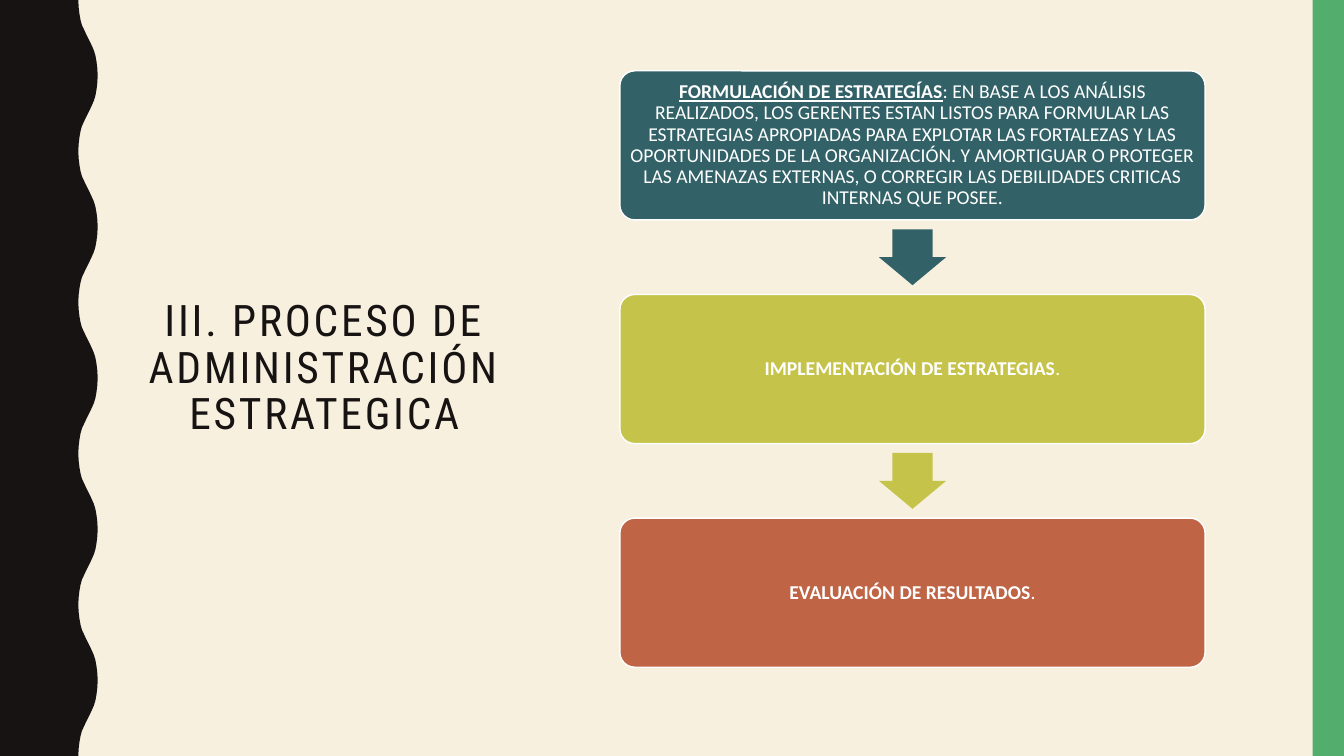
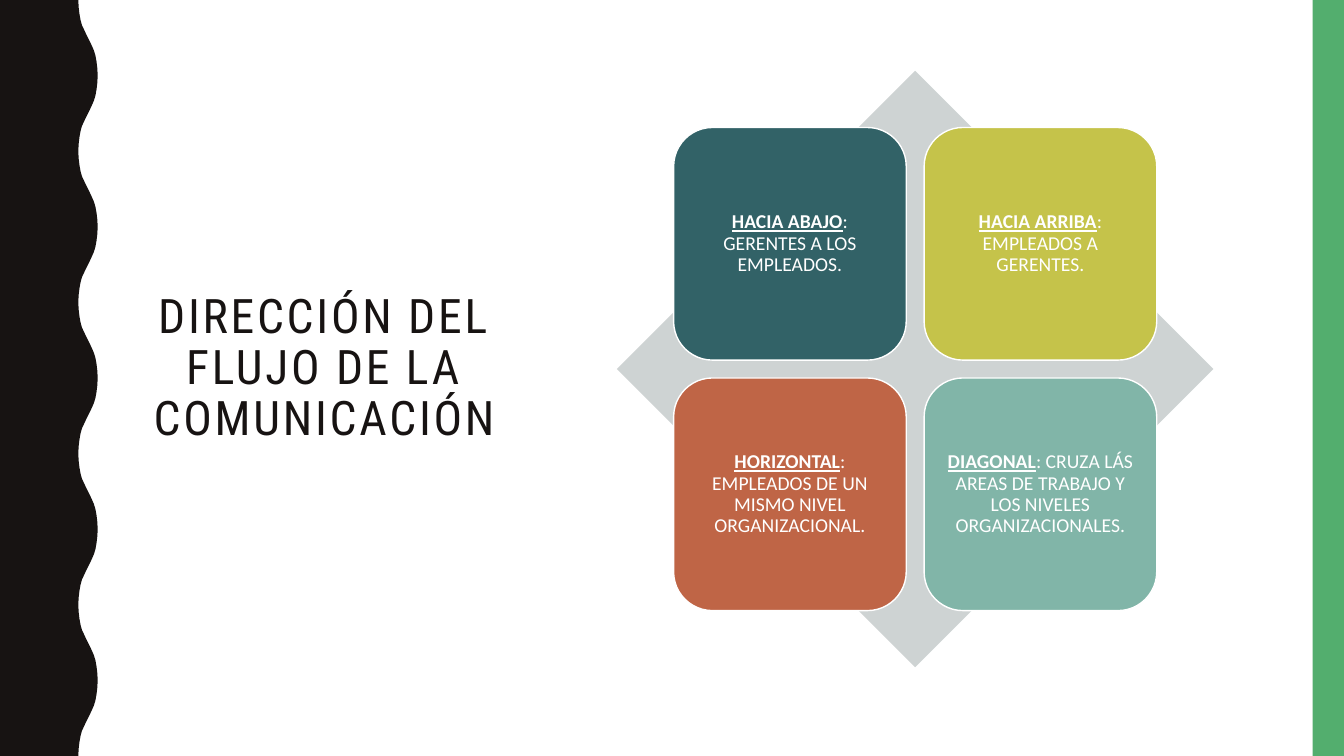
from pptx import Presentation
from pptx.dml.color import RGBColor
from pptx.enum.shapes import MSO_SHAPE
from pptx.enum.text import MSO_ANCHOR, PP_ALIGN
from pptx.util import Pt

RECT, ROUNDED = MSO_SHAPE.RECTANGLE, MSO_SHAPE.ROUNDED_RECTANGLE
DIAMOND, DOWN_ARROW = MSO_SHAPE.DIAMOND, MSO_SHAPE.DOWN_ARROW
MIDDLE, CENTER = MSO_ANCHOR.MIDDLE, PP_ALIGN.CENTER

WIDTH, HEIGHT = 960, 540
INK, GREEN, CREAM, WHITE = "171312", "53AE6E", "F7F0DF", "FFFFFF"
TEAL, OLIVE, RUST, SAGE, GREY = "326267", "C5C34A", "BF6546", "81B5A8", "CED3D3"
TITLE_FONT, BODY_FONT = "Roboto Condensed", "Calibri"

WAVE_PERIOD = 108
HALF_WAVE = [(56, 0), (56.2, 5), (56.8, 10), (57.6, 14.4), (58.6, 18), (60, 21),
             (61.4, 24), (62.9, 27), (64.4, 30), (65.8, 33), (67.1, 36),
             (68.2, 39.6), (69, 44), (69.6, 49), (69.8, 54)]

STEPS = [
    (TEAL, "FORMULACIÓN DE ESTRATEGÍAS",
     ": EN BASE A LOS ANÁLISIS REALIZADOS, LOS GERENTES ESTAN LISTOS PARA FORMULAR "
     "LAS ESTRATEGIAS APROPIADAS PARA EXPLOTAR LAS FORTALEZAS Y LAS OPORTUNIDADES DE "
     "LA ORGANIZACIÓN. Y AMORTIGUAR O PROTEGER LAS AMENAZAS EXTERNAS, O CORREGIR LAS "
     "DEBILIDADES CRITICAS INTERNAS QUE POSEE.", True),
    (OLIVE, "IMPLEMENTACIÓN DE ESTRATEGIAS", ".", False),
    (RUST, "EVALUACIÓN DE RESULTADOS", ".", False),
]
DIRECTIONS = [
    (TEAL, "HACIA ABAJO", ": GERENTES A LOS EMPLEADOS."),
    (OLIVE, "HACIA ARRIBA", ": EMPLEADOS A GERENTES."),
    (RUST, "HORIZONTAL", ": EMPLEADOS DE UN MISMO NIVEL ORGANIZACIONAL."),
    (SAGE, "DIAGONAL", ": CRUZA LÁS AREAS DE TRABAJO Y LOS NIVELES ORGANIZACIONALES."),
]


def rgb(value):
    """Turn a hex string into a colour."""
    return RGBColor.from_string(value)


def paint(sp, fill, line=None):
    """Give a shape its fill and optional one-point outline, without shadow."""
    sp.shadow.inherit = False
    sp.fill.solid()
    sp.fill.fore_color.rgb = rgb(fill)
    if line:
        sp.line.color.rgb = rgb(line)
        sp.line.width = Pt(1)
    else:
        sp.line.fill.background()


def add_block(s, kind, x, y, w, h, fill, line=None, adjustments=()):
    """Add a painted preset shape."""
    sp = s.shapes.add_shape(kind, Pt(x), Pt(y), Pt(w), Pt(h))
    for i, value in enumerate(adjustments):
        sp.adjustments[i] = value
    paint(sp, fill, line)
    return sp


def centre_text(tf):
    """Centre a wrapping text frame both ways and return its paragraph."""
    tf.word_wrap = True
    tf.vertical_anchor = MIDDLE
    p = tf.paragraphs[0]
    p.alignment = CENTER
    p.line_spacing = 0.9
    return p


def add_run(p, text, font, size, color, bold=False, underline=False):
    """Append one formatted run to a paragraph."""
    r = p.add_run()
    r.text = text
    r.font.name, r.font.size = font, Pt(size)
    r.font.bold, r.font.underline = bold, underline
    r.font.color.rgb = rgb(color)
    return r


def add_card(s, x, y, w, h, fill, label, detail, underline=True, adjustments=()):
    """Add a rounded card with a bold label and its detail."""
    sp = add_block(s, ROUNDED, x, y, w, h, fill, WHITE, adjustments)
    tf = sp.text_frame
    tf.margin_left = tf.margin_right = tf.margin_top = tf.margin_bottom = Pt(4.2)
    p = centre_text(tf)
    add_run(p, label, BODY_FONT, 14, WHITE, True, underline)
    add_run(p, detail, BODY_FONT, 14, WHITE)


def add_wave(s):
    """Draw the dark band with a wavy right edge."""
    period = HALF_WAVE + [(x, WAVE_PERIOD - y) for x, y in HALF_WAVE[-2::-1]]
    edge = [(x, top + y) for top in range(0, HEIGHT, WAVE_PERIOD) for x, y in period]
    outline = [(Pt(x), Pt(y)) for x, y in edge + [(0, HEIGHT)]]
    fb = s.shapes.build_freeform(0, 0)
    fb.add_line_segments(outline, close=True)
    paint(fb.convert_to_shape(), INK)


def add_title(s, text, size, x, y, w, h):
    """Add the letter-spaced slide title."""
    tf = s.shapes.add_textbox(Pt(x), Pt(y), Pt(w), Pt(h)).text_frame
    r = add_run(centre_text(tf), text, TITLE_FONT, size, INK)
    r.font._element.set("spc", "200")


def add_base_slide(prs, background, title, size):
    """Add a slide with the shared bands and title."""
    s = prs.slides.add_slide(prs.slide_layouts[6])
    s.background.fill.solid()
    s.background.fill.fore_color.rgb = rgb(background)
    add_wave(s)
    add_block(s, RECT, 937.6, 0, WIDTH - 937.6, HEIGHT, GREEN)
    add_title(s, title, size, 98.6, 50.6, 266.4, 426)
    return s


def add_process(s, x, y, w, h):
    """Stack the steps in a box, with an arrow in each gap."""
    card_h = h / 4
    gap = card_h / 2
    arrow_w, arrow_h = card_h * 0.45, card_h * 0.375
    for i, (fill, label, detail, underline) in enumerate(STEPS):
        top = y + i * (card_h + gap)
        add_card(s, x, top, w, card_h, fill, label, detail, underline, (0.1,))
        if i < len(STEPS) - 1:
            add_block(s, DOWN_ARROW, x + (w - arrow_w) / 2,
                      top + card_h + (gap - arrow_h) / 2,
                      arrow_w, arrow_h, fill, adjustments=(0.6, 0.5))


def add_matrix(s, x, y, size):
    """Place the four directions over a diamond in a square box."""
    add_block(s, DIAMOND, x, y, size, size, GREY)
    margin, card, pitch = size * 0.095, size * 0.39, size * 0.42
    for i, (fill, label, detail) in enumerate(DIRECTIONS):
        row, col = divmod(i, 2)
        add_card(s, x + margin + col * pitch, y + margin + row * pitch,
                 card, card, fill, label, detail)


def main():
    """Build and save the presentation."""
    prs = Presentation()
    prs.slide_width, prs.slide_height = Pt(WIDTH), Pt(HEIGHT)
    s = add_base_slide(prs, CREAM, "III. PROCESO DE ADMINISTRACIÓN ESTRATEGICA", 31)
    add_process(s, 442.8, 50.6, 418, 426)
    s = add_base_slide(prs, WHITE, "DIRECCIÓN DEL FLUJO DE LA COMUNICACIÓN", 34)
    add_matrix(s, 440.7, 50.6, 426)
    prs.save("out.pptx")


if __name__ == "__main__":
    main()
